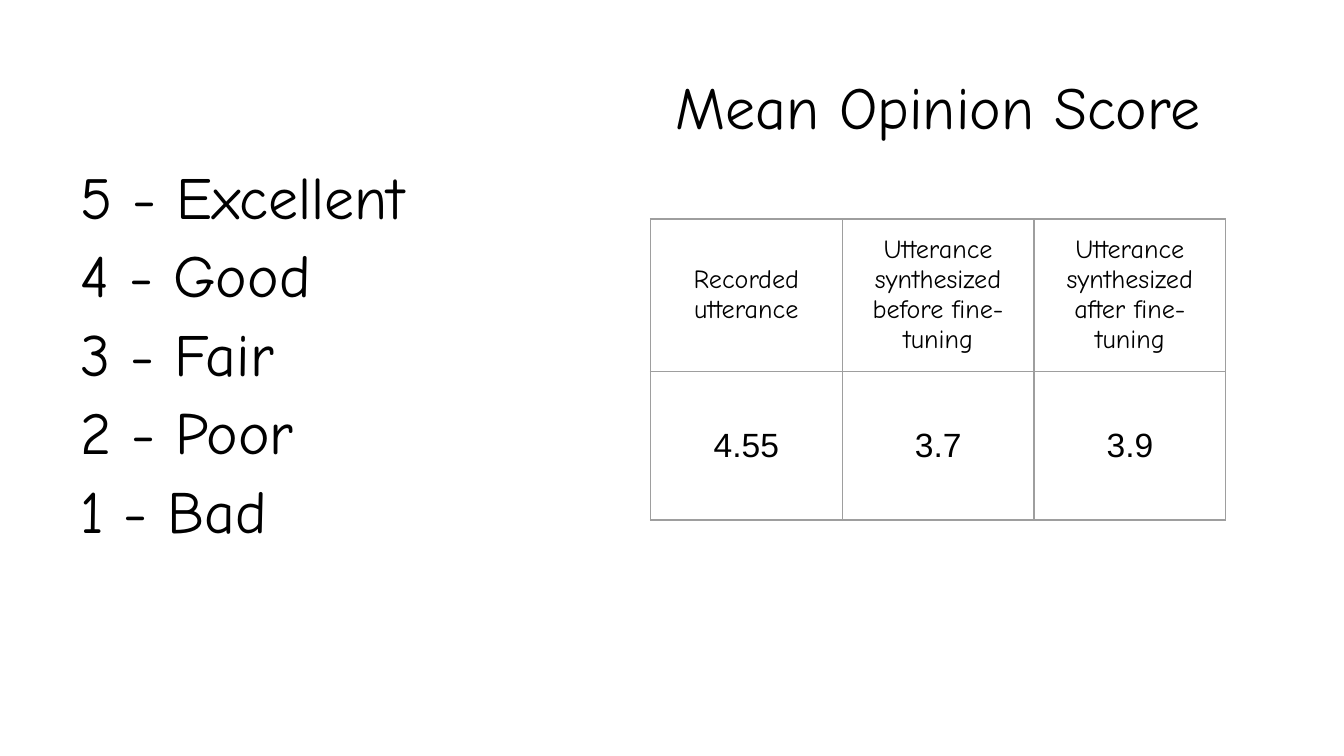
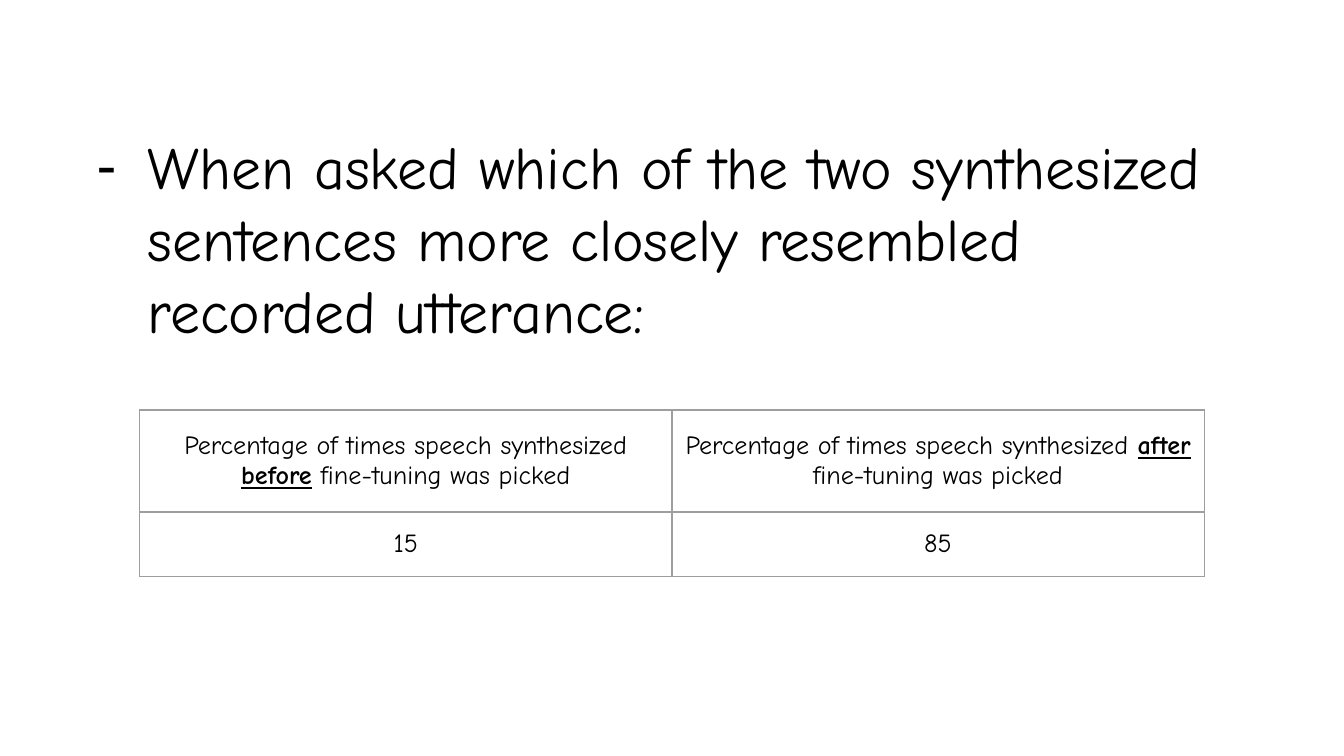
from dataclasses import dataclass
from typing import NamedTuple

from lxml.etree import SubElement
from pptx import Presentation
from pptx.dml.color import RGBColor as Color
from pptx.enum.text import MSO_ANCHOR as Anchor, MSO_AUTO_SIZE as AutoSize, PP_ALIGN as Align
from pptx.oxml.ns import qn
from pptx.util import Emu, Inches, Pt

SLIDE_WIDTH = Inches(10)
SLIDE_HEIGHT = SLIDE_WIDTH * 9 // 16
COLUMN = SLIDE_WIDTH / 100
ROW = SLIDE_HEIGHT / 56.25
TITLE_ONLY, BLANK = 5, 6


@dataclass(frozen=True)
class Theme:
    font: str = "Comic Neue"
    plain_font: str = "Arial"
    text: Color = Color(0, 0, 0)
    background: Color = Color(255, 255, 255)
    border: str = "9E9E9E"
    border_width: int = Pt(0.75)
    large: int = 32
    score: int = 18
    small: int = 14
    space_before: float = 3.6


THEME = Theme()


class Area(NamedTuple):
    left: float
    top: float
    width: float
    height: float

    def lengths(self) -> tuple[Emu, ...]:
        units = (COLUMN, ROW, COLUMN, ROW)
        return tuple(Emu(round(value * unit)) for value, unit in zip(self, units))


class Run(NamedTuple):
    text: str
    emphasis: bool = False


class TableRow(NamedTuple):
    cells: list[list[Run]]
    height: float
    size: int = THEME.small
    font: str = THEME.font


class TableSpec(NamedTuple):
    left: float
    top: float
    column_width: float
    rows: list[TableRow]


def write_text(frame, paragraphs: list[list[Run]], *, size: int = THEME.large,
               font: str = THEME.font, align: Align = Align.LEFT,
               space_before: float = THEME.space_before) -> None:
    frame.word_wrap = True
    for index, runs in enumerate(paragraphs):
        paragraph = frame.paragraphs[0] if index == 0 else frame.add_paragraph()
        paragraph.alignment = align
        paragraph.space_before = Pt(space_before)
        for text, emphasis in runs:
            run = paragraph.add_run()
            run.text = text
            run.font.name = font
            run.font.size = Pt(size)
            run.font.color.rgb = THEME.text
            run.font.bold = run.font.underline = emphasis


def add_slide(presentation, layout: int):
    slide = presentation.slides.add_slide(presentation.slide_layouts[layout])
    slide.background.fill.solid()
    slide.background.fill.fore_color.rgb = THEME.background
    return slide


def set_title(slide, text: str, area: Area) -> None:
    title = slide.shapes.title
    title.left, title.top, title.width, title.height = area.lengths()
    title.text_frame.auto_size = AutoSize.NONE
    title.text_frame.vertical_anchor = Anchor.TOP
    write_text(title.text_frame, [[Run(text)]], align=Align.CENTER)


def add_body(slide, lines: list[str], area: Area):
    frame = slide.shapes.add_textbox(*area.lengths()).text_frame
    write_text(frame, [[Run(line)] for line in lines])
    return frame


def add_dash_bullet(paragraph) -> None:
    properties = paragraph._p.get_or_add_pPr()
    properties.set("marL", str(Inches(0.5)))
    properties.set("indent", str(Inches(-0.38)))
    SubElement(properties, qn("a:buFont"), typeface=THEME.plain_font)
    SubElement(properties, qn("a:buChar"), char="-")


def add_borders(cell) -> None:
    properties = cell._tc.get_or_add_tcPr()
    for side in ("a:lnL", "a:lnR", "a:lnT", "a:lnB"):
        line = SubElement(properties, qn(side), w=str(THEME.border_width))
        SubElement(SubElement(line, qn("a:solidFill")), qn("a:srgbClr"), val=THEME.border)


def add_table(slide, spec: TableSpec) -> None:
    column_count = len(spec.rows[0].cells)
    area = Area(spec.left, spec.top, spec.column_width * column_count,
                sum(row.height for row in spec.rows))
    table = slide.shapes.add_table(len(spec.rows), column_count, *area.lengths()).table
    table.first_row = table.horz_banding = False
    for column in table.columns:
        column.width = Emu(round(spec.column_width * COLUMN))
    for table_row, row in zip(table.rows, spec.rows):
        table_row.height = Emu(round(row.height * ROW))
        for cell, runs in zip(table_row.cells, row.cells):
            cell.vertical_anchor = Anchor.MIDDLE
            cell.margin_left = cell.margin_right = Inches(0.1)
            cell.margin_top = cell.margin_bottom = Inches(0.1)
            add_borders(cell)
            cell.fill.background()
            write_text(cell.text_frame, [runs], size=row.size, font=row.font,
                       align=Align.CENTER, space_before=0)


def build_score_slide(presentation) -> None:
    slide = add_slide(presentation, TITLE_ONLY)
    set_title(slide, "Mean Opinion Score", Area(47.8, 4.7, 44, 7))
    ratings = ["Bad", "Poor", "Fair", "Good", "Excellent"]
    lines = [f"{score} - {rating}" for score, rating in enumerate(ratings, 1)]
    add_body(slide, lines[::-1], Area(5, 11.4, 90, 38.9))
    headings = ["Recorded utterance", "Utterance synthesized before fine-tuning",
                "Utterance synthesized after fine-tuning"]
    scores = ["4.55", "3.7", "3.9"]
    add_table(slide, TableSpec(48.4, 16.3, 14.27, [
        TableRow([[Run(heading)] for heading in headings], 11.05),
        TableRow([[Run(score)] for score in scores], 11.05, THEME.score, THEME.plain_font),
    ]))


def build_preference_slide(presentation) -> None:
    slide = add_slide(presentation, BLANK)
    question = ("When asked which of the two synthesized sentences "
                "more closely resembled recorded utterance:")
    frame = add_body(slide, [question], Area(5, 9.2, 90, 41))
    add_dash_bullet(frame.paragraphs[0])
    headings = [[Run("Percentage of times speech synthesized "), Run(moment, True),
                 Run(" fine-tuning was picked")] for moment in ("before", "after")]
    add_table(slide, TableSpec(10.4, 30.5, 39.6, [
        TableRow(headings, 7.6),
        TableRow([[Run("15")], [Run("85")]], 4.8),
    ]))


def main() -> None:
    presentation = Presentation()
    presentation.slide_width = SLIDE_WIDTH
    presentation.slide_height = SLIDE_HEIGHT
    build_score_slide(presentation)
    build_preference_slide(presentation)
    presentation.save("out.pptx")


if __name__ == "__main__":
    main()
